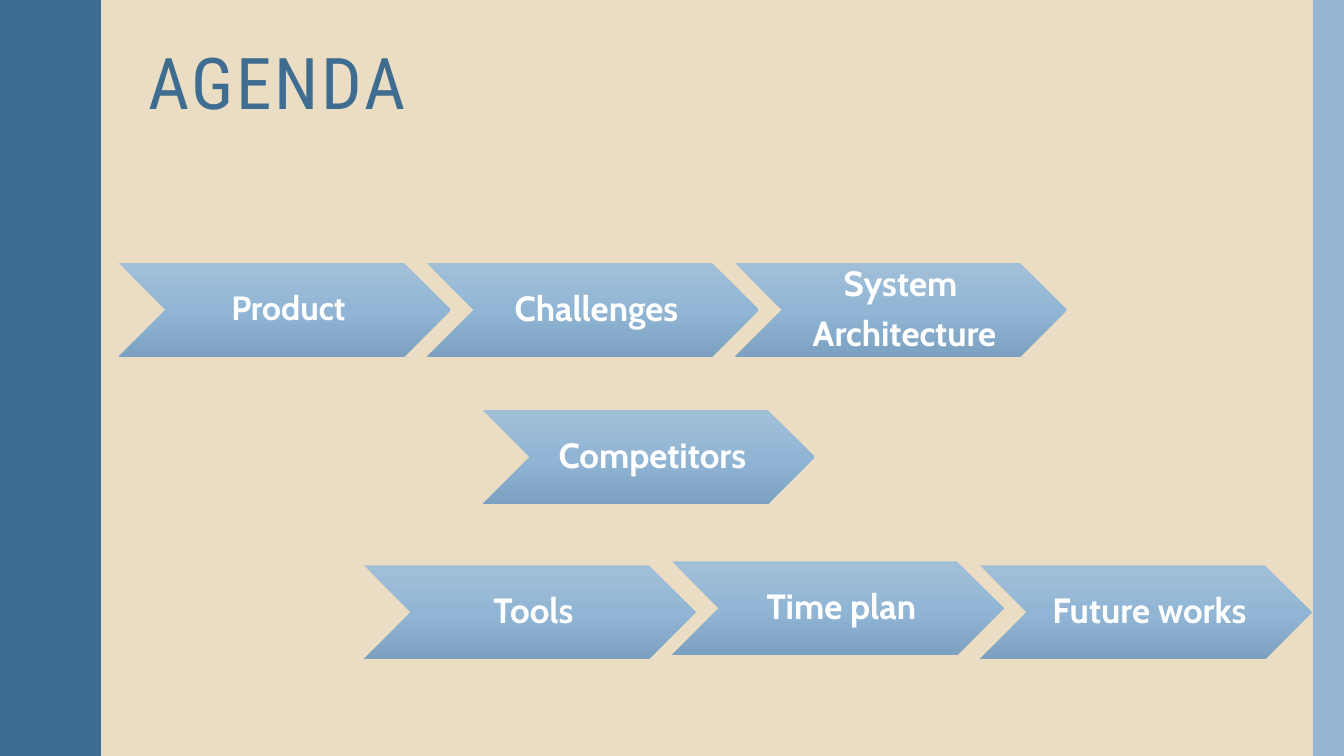
from copy import deepcopy
from dataclasses import dataclass

from pptx import Presentation
from pptx.dml.color import RGBColor
from pptx.enum.shapes import MSO_SHAPE
from pptx.enum.text import MSO_ANCHOR, PP_ALIGN
from pptx.util import Inches, Pt


@dataclass(frozen=True)
class Theme:
    sand: str = "EBDDC3"
    navy: str = "3E6D91"
    sky: str = "94B6D2"
    white: str = "FFFFFF"
    fade: tuple = ((0, "A2BFD8"), (0.5, "91B6D5"), (1, "7DA2C1"))
    head: str = "Roboto Condensed"
    body: str = "Cabin"
    big: float = 51
    mid: float = 25
    small: float = 24


WIDE, HIGH = 13.33, 7.5

# Half a wave of the left band: (x, y), mirrored for the other half
CURVE = [(0.78, 0), (0.78, 0.07), (0.79, 0.14), (0.8, 0.2), (0.81, 0.25),
         (0.83, 0.29), (0.85, 0.33), (0.87, 0.38), (0.89, 0.42), (0.91, 0.46),
         (0.93, 0.5), (0.95, 0.55), (0.96, 0.61), (0.97, 0.68), (0.97, 0.75)]
WAVE = 1.5

# Chevron size and the step between neighbours in a row
WIDTH, HEIGHT, STEP = 3.29, 0.93, 3.055


def write(frame, text, *, font, size, color, bold=False, align=PP_ALIGN.LEFT,
          after=0, track=0):
    """Fill a text frame, one paragraph per line of text."""
    frame.word_wrap = True
    for i, line in enumerate(text.split("\n")):
        para = frame.add_paragraph() if i else frame.paragraphs[0]
        para.alignment = align
        para.line_spacing = 0.9
        para.space_before = Pt(0)
        para.space_after = Pt(after)
        run = para.add_run()
        run.text = line
        run.font.name = font
        run.font.size = Pt(size)
        run.font.bold = bold
        run.font.color.rgb = RGBColor.from_string(color)
        if track:
            run._r.get_or_add_rPr().set("spc", str(track * 100))


class Deck:
    def __init__(self, theme):
        self.theme = theme
        self.file = Presentation()
        self.file.slide_width = Inches(WIDE)
        self.file.slide_height = Inches(HIGH)
        self.slide = self.file.slides.add_slide(self.file.slide_layouts[5])
        self.paint(self.slide.background.fill, theme.sand)

    def paint(self, fill, color):
        fill.solid()
        fill.fore_color.rgb = RGBColor.from_string(color)

    def clean(self, shape):
        shape.shadow.inherit = False
        shape.line.fill.background()

    def blend(self, shape):
        """Top-to-bottom gradient through the theme's three stops."""
        fill = shape.fill
        fill.gradient()
        fill.gradient_angle = 270
        stops = shape._element.spPr.find(".//{*}gsLst")
        stops.append(deepcopy(stops[-1]))
        for stop, (place, color) in zip(fill.gradient_stops, self.theme.fade):
            stop.position = place
            stop.color.rgb = RGBColor.from_string(color)

    def title(self, text, left, top, width, height):
        box = self.slide.shapes.title
        box.left, box.top = Inches(left), Inches(top)
        box.width, box.height = Inches(width), Inches(height)
        box.text_frame.vertical_anchor = MSO_ANCHOR.TOP
        write(box.text_frame, text, font=self.theme.head, size=self.theme.big,
              color=self.theme.navy, track=2)

    def wave(self):
        flip = [(x, WAVE - y) for x, y in reversed(CURVE[:-1])]
        cycle = CURVE[1:] + flip
        edge = [CURVE[0]] + [(x, y + n * WAVE) for n in range(round(HIGH / WAVE))
                             for x, y in cycle]
        pen = self.slide.shapes.build_freeform(0, 0, scale=Inches(1))
        pen.add_line_segments(edge + [(0, HIGH)], close=True)
        shape = pen.convert_to_shape()
        self.clean(shape)
        self.paint(shape.fill, self.theme.navy)

    def bar(self, left, width):
        shape = self.slide.shapes.add_shape(
            MSO_SHAPE.RECTANGLE, Inches(left), 0, Inches(width), Inches(HIGH))
        self.clean(shape)
        self.paint(shape.fill, self.theme.sky)

    def arrow(self, text, left, top, size):
        shape = self.slide.shapes.add_shape(
            MSO_SHAPE.CHEVRON, Inches(left), Inches(top),
            Inches(WIDTH), Inches(HEIGHT))
        self.clean(shape)
        self.blend(shape)
        frame = shape.text_frame
        frame.vertical_anchor = MSO_ANCHOR.MIDDLE
        frame.margin_left = Inches(0.11)
        frame.margin_right = Inches(0.04)
        frame.margin_top = frame.margin_bottom = Inches(0.04)
        write(frame, text, font=self.theme.body, size=size, bold=True,
              color=self.theme.white, align=PP_ALIGN.CENTER, after=8.75)


def main():
    theme = Theme()
    deck = Deck(theme)

    # Side bands and title
    deck.wave()
    deck.bar(13.02, 0.31)
    deck.title("AGENDA", 1.37, 0.42, 11.13, 1.63)

    # Rows of steps: left edge, then label, top and type size
    rows = [
        (1.18, [("Product", 2.61, theme.small), ("Challenges", 2.61, theme.mid),
                ("System \nArchitecture", 2.61, theme.mid)]),
        (4.79, [("Competitors", 4.07, theme.mid)]),
        (3.61, [("Tools", 5.61, theme.mid), ("Time plan", 5.57, theme.mid),
                ("Future works", 5.61, theme.mid)]),
    ]
    for left, steps in rows:
        for i, (text, top, size) in enumerate(steps):
            deck.arrow(text, left + i * STEP, top, size)

    deck.file.save("out.pptx")


if __name__ == "__main__":
    main()
